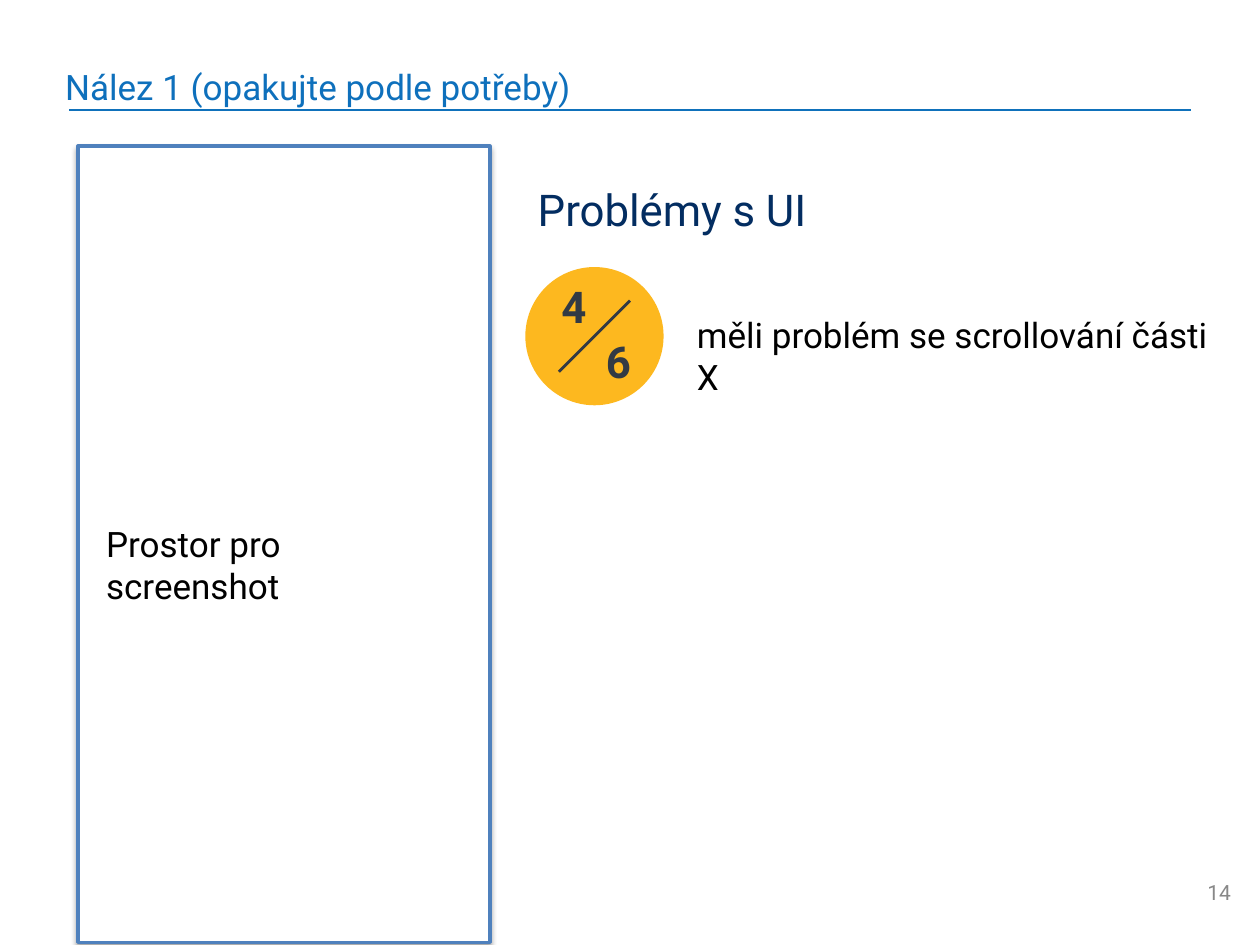
from lxml import etree
from pptx import Presentation
from pptx.dml.color import RGBColor
from pptx.enum.shapes import MSO_CONNECTOR, MSO_SHAPE
from pptx.enum.text import MSO_ANCHOR as ANCHOR, PP_ALIGN as ALIGN
from pptx.oxml import parse_xml
from pptx.oxml.ns import nsdecls, qn
from pptx.util import Pt

FONT = "Roboto"
COLORS = {
    "title": "0E70BC",
    "rule": "0F71BB",
    "heading": "032D61",
    "text": "000000",
    "badge": "FDB81F",
    "badge_text": "323A44",
    "frame": "4F81BD",
    "frame_fill": "FFFFFF",
    "number": "888888",
}


def rgb(name):
    return RGBColor.from_string(COLORS[name])


def add_text(slide, box, text, size=20, color="text", bold=False,
             align=ALIGN.LEFT, anchor=ANCHOR.TOP, inset=3.6, wrap=True):
    sp = slide.shapes.add_textbox(*map(Pt, box))
    tf = sp.text_frame
    tf.word_wrap = wrap
    tf.vertical_anchor = anchor
    tf.margin_left = tf.margin_right = tf.margin_top = tf.margin_bottom = Pt(inset)
    p = tf.paragraphs[0]
    p.alignment = align
    r = p.add_run()
    r.text = text
    r.font.name = FONT
    r.font.size = Pt(size)
    r.font.bold = bold
    r.font.color.rgb = rgb(color)
    return sp


def add_shape(slide, kind, box, fill, line=None):
    sp = slide.shapes.add_shape(kind, *map(Pt, box))
    sp.shadow.inherit = False
    sp.fill.solid()
    sp.fill.fore_color.rgb = rgb(fill)
    if line:
        sp.line.color.rgb = rgb(line)
        sp.line.width = Pt(2)
    else:
        sp.line.fill.background()
    return sp


def add_line(slide, start, end, color, width=1.5):
    line = slide.shapes.add_connector(MSO_CONNECTOR.STRAIGHT, *map(Pt, (*start, *end)))
    line.line.color.rgb = rgb(color)
    line.line.width = Pt(width)
    etree.SubElement(line._element.spPr, qn("a:effectLst"))


def add_soft_shadow(sp):
    effects = sp._element.spPr.find(qn("a:effectLst"))
    effects.append(parse_xml(
        f'<a:outerShdw {nsdecls("a")} blurRad="{Pt(3)}" dist="{Pt(1.8)}" dir="5400000" '
        'rotWithShape="0"><a:srgbClr val="000000"><a:alpha val="35000"/></a:srgbClr>'
        '</a:outerShdw>'))


def add_title(slide, x, y, w, h, text):
    add_text(slide, (x, y, w, h), text, color="title", anchor=ANCHOR.BOTTOM, inset=7.2)
    rule_y = y + h - 5.6
    add_line(slide, (x + 9.4, rule_y), (x + 650.2, rule_y), "rule")


def add_screenshot_frame(slide, x, y, w, h, text):
    frame = add_shape(slide, MSO_SHAPE.RECTANGLE, (x, y, w, h), "frame_fill", "frame")
    add_soft_shadow(frame)
    add_text(slide, (x + 12.4, y + 211.7, 190, 55), text)


def add_score_badge(slide, x, y, size, score, total):
    add_shape(slide, MSO_SHAPE.OVAL, (x, y, size, size), "badge")
    for text, dx, dy in ((score, 16, 3.6), (total, 41.4, 35.3)):
        add_text(slide, (x + dx, y + dy, 23.6, 38), text, size=25, color="badge_text",
                 bold=True, align=ALIGN.CENTER)
    mid_x, mid_y, reach = x + size / 2, y + size / 2, 20.3
    add_line(slide, (mid_x - reach, mid_y + reach), (mid_x + reach, mid_y - reach),
             "badge_text", 1.6)


def add_findings(slide, x, y, w, heading, findings):
    add_text(slide, (x, y, 383, 44.6), heading, size=25, color="heading",
             anchor=ANCHOR.BOTTOM, inset=7.2)
    badge, pitch = 79, 100
    for i, (score, total, text) in enumerate(findings):
        top = y + 55.4 + i * pitch
        add_score_badge(slide, x, top, badge, score, total)
        add_text(slide, (x + 94.4, top + 23.1, w - 94.4, 55.4), text)


def add_slide_number(slide, x, y, w, h, text):
    add_text(slide, (x, y, w, h), text, size=12, color="number", align=ALIGN.RIGHT,
             anchor=ANCHOR.MIDDLE, inset=7.2, wrap=False)


def main():
    prs = Presentation()
    prs.slide_width, prs.slide_height = Pt(720), Pt(540)
    slide = prs.slides.add_slide(prs.slide_layouts[6])
    add_title(slide, 30.2, 30.2, 628, 38.2, "Nález 1 (opakujte podle potřeby)")
    add_screenshot_frame(slide, 44.6, 83.5, 235.4, 455, "Prostor pro screenshot")
    add_findings(slide, 300.2, 97.2, 404.7, "Problémy s UI",
                 [("4", "6", "měli problém se scrollování části X")])
    add_slide_number(slide, 681.8, 496, 28.8, 28, "14")
    prs.save("out.pptx")


if __name__ == "__main__":
    main()
